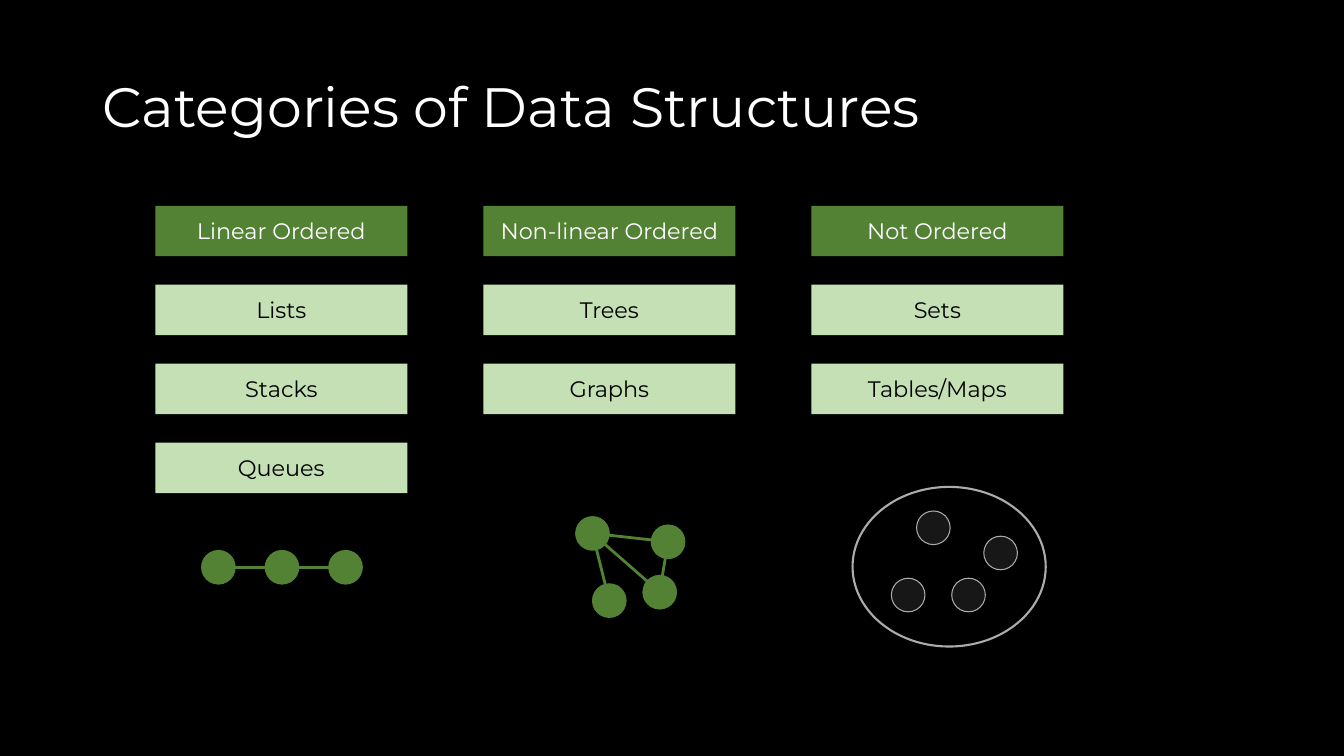
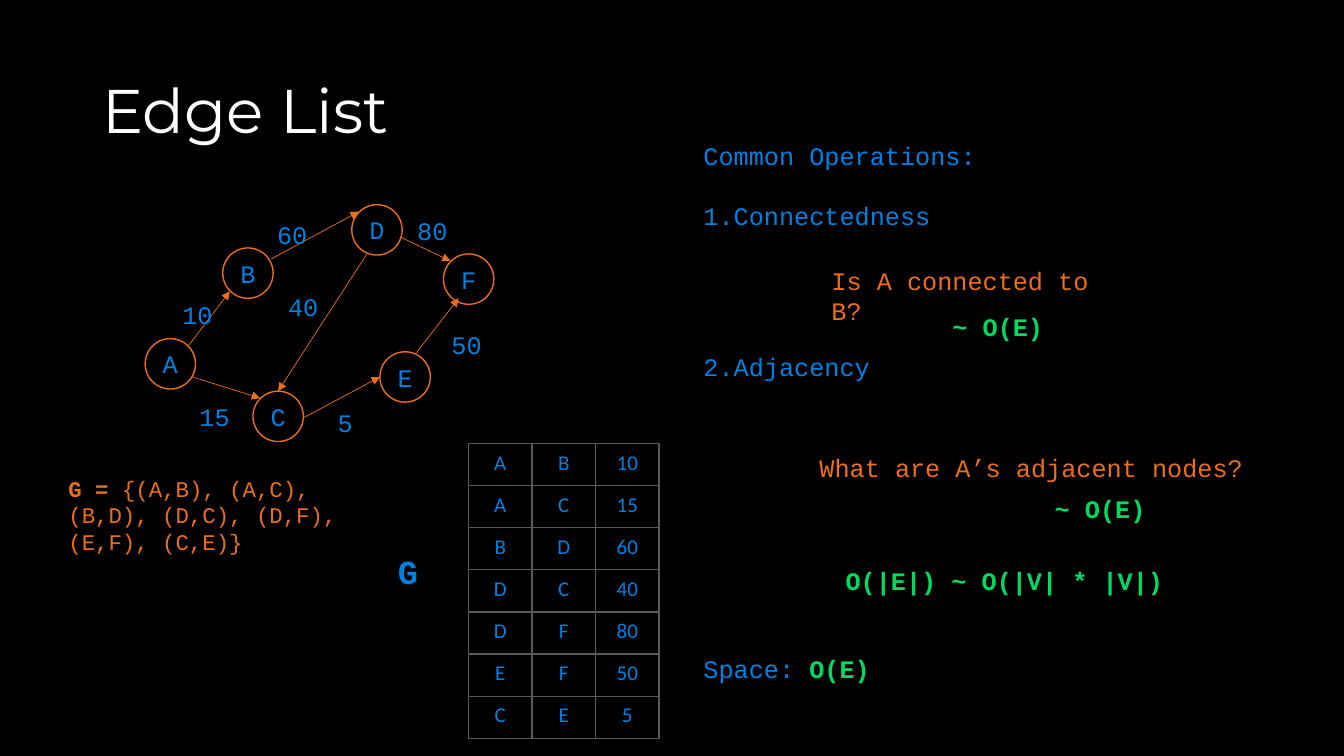
import math

import pptx
import pptx.dml.color
import pptx.enum.shapes
import pptx.enum.text
import pptx.oxml
import pptx.oxml.ns
import pptx.util

Pt = pptx.util.Pt
ALIGN = pptx.enum.text.PP_ALIGN
ANCHOR = pptx.enum.text.MSO_ANCHOR
SHAPE = pptx.enum.shapes.MSO_SHAPE
STRAIGHT = pptx.enum.shapes.MSO_CONNECTOR.STRAIGHT

COLORS = {
    "back": "000000", "white": "FFFFFF", "dark": "548235", "light": "C5E0B4",
    "gray": "AFABAB", "coal": "181717", "orange": "EB6E19", "blue": "0081E2",
    "green": "00DA63", "grid": "595959",
}
SANS, MONO, CELL = "Montserrat", "Courier New", "Calibri"


def rgb(name):
    return pptx.dml.color.RGBColor.from_string(COLORS[name])


def sub(parent, tag, **attrs):
    """Append a DrawingML element to parent."""
    el = parent.makeelement(pptx.oxml.ns.qn("a:" + tag), attrs)
    parent.append(el)
    return el


def write(p, text, font=MONO, size=18, color="blue", bold=False, align=None,
          before=None, spacing=None, numbered=False):
    """Add a formatted run to paragraph p."""
    if numbered:
        pPr = p._p.get_or_add_pPr()
        pPr.set("marL", "0")
        pPr.set("indent", "0")
        sub(pPr, "buFont", typeface=font)
        sub(pPr, "buAutoNum", type="arabicPeriod")
    if align is not None:
        p.alignment = align
    if before is not None:
        p.space_before = Pt(before)
    if spacing is not None:
        p.line_spacing = spacing
    r = p.add_run()
    r.text = text
    r.font.name, r.font.size, r.font.bold = font, Pt(size), bold
    r.font.color.rgb = rgb(color)


class Deck:
    def __init__(self):
        self.prs = pptx.Presentation()
        self.prs.slide_width, self.prs.slide_height = Pt(960), Pt(540)
        self.s = None

    def slide(self, title, size, top):
        self.s = self.prs.slides.add_slide(self.prs.slide_layouts[6])
        self.s.background.fill.solid()
        self.s.background.fill.fore_color.rgb = rgb("back")
        tf = self.box(66, top, 828, 104.4)
        tf.vertical_anchor = ANCHOR.MIDDLE
        write(tf.paragraphs[0], title, font=SANS, size=size, color="white", spacing=0.9)

    def box(self, x, y, w, h):
        tf = self.s.shapes.add_textbox(Pt(x), Pt(y), Pt(w), Pt(h)).text_frame
        tf.word_wrap = True
        return tf

    def text(self, x, y, w, text, h=29, **fmt):
        p = self.box(x, y, w, h).paragraphs[0]
        write(p, text, **fmt)
        return p

    def shape(self, kind, x, y, w, h, fill=None, line=None, width=0.75, text=None, **fmt):
        sp = self.s.shapes.add_shape(kind, Pt(x), Pt(y), Pt(w), Pt(h))
        sp.shadow.inherit = False
        if fill:
            sp.fill.solid()
            sp.fill.fore_color.rgb = rgb(fill)
        else:
            sp.fill.background()
        if line:
            sp.line.color.rgb = rgb(line)
            sp.line.width = Pt(width)
        else:
            sp.line.fill.background()
        if text:
            tf = sp.text_frame
            tf.margin_left = tf.margin_right = tf.margin_top = tf.margin_bottom = 0
            tf.vertical_anchor = ANCHOR.MIDDLE
            write(tf.paragraphs[0], text, align=ALIGN.CENTER, **fmt)

    def line(self, x1, y1, x2, y2, color, width, arrow=False):
        c = self.s.shapes.add_connector(STRAIGHT, Pt(x1), Pt(y1), Pt(x2), Pt(y2))
        c.line.color.rgb = rgb(color)
        c.line.width = Pt(width)
        if arrow:
            sub(c.line._get_or_add_ln(), "tailEnd", type="triangle")
        sub(c._element.spPr, "effectLst")

    def network(self, nodes, links, d=24):
        """Filled dots at top-left points, linked from rim to rim."""
        for x, y in nodes:
            self.shape(SHAPE.OVAL, x, y, d, d, fill="dark", line="dark")
        for a, b in links:
            (x1, y1), (x2, y2) = [(x + d / 2, y + d / 2) for x, y in (nodes[a], nodes[b])]
            k = d / 2 / math.dist((x1, y1), (x2, y2))
            dx, dy = k * (x2 - x1), k * (y2 - y1)
            self.line(x1 + dx, y1 + dy, x2 - dx, y2 - dy, "dark", 2)

    def table(self, x, y, col_w, row_h, rows):
        n, m = len(rows), len(rows[0])
        t = self.s.shapes.add_table(n, m, Pt(x), Pt(y), Pt(col_w * m), Pt(row_h * n)).table
        t.first_row = t.horz_banding = False
        for col in t.columns:
            col.width = Pt(col_w)
        for i, row in enumerate(rows):
            t.rows[i].height = Pt(row_h)
            for j, value in enumerate(row):
                self.cell(t.cell(i, j), str(value))

    def cell(self, c, text):
        c.margin_left = c.margin_right = Pt(9.6)
        c.margin_top = c.margin_bottom = Pt(4.8)
        write(c.text_frame.paragraphs[0], text, font=CELL, size=15, align=ALIGN.CENTER)
        tcPr = c._tc.get_or_add_tcPr()
        for side in ("lnL", "lnR", "lnT", "lnB"):
            fill = sub(sub(tcPr, side, w=str(Pt(1))), "solidFill")
            sub(fill, "srgbClr", val=COLORS["grid"])
        c.fill.background()


def categories(d):
    d.slide("Categories of Data Structures", 39.6, 26.3)

    # Columns of boxes, header first
    columns = [
        ("Linear Ordered", "Lists", "Stacks", "Queues"),
        ("Non-linear Ordered", "Trees", "Graphs"),
        ("Not Ordered", "Sets", "Tables/Maps"),
    ]
    for i, names in enumerate(columns):
        for j, name in enumerate(names):
            fill, color = ("light", "back") if j else ("dark", "white")
            d.shape(SHAPE.RECTANGLE, 111 + 234.3 * i, 147 + 56.4 * j, 180, 36,
                    fill=fill, text=name, font=SANS, size=16, color=color)

    # Set: loose dots in an oval
    for x, y in [(654.7, 365), (702.7, 383), (636.7, 413), (679.8, 413)]:
        d.shape(SHAPE.OVAL, x, y, 24, 24, fill="coal", line="gray")
    d.shape(SHAPE.OVAL, 609, 347.8, 138, 114, line="gray", width=1.5)

    # Chain and graph
    d.network([(144 + 45.4 * i, 393.2) for i in range(3)], [(0, 1), (1, 2)])
    d.network([(411.2, 369), (465.2, 375), (423.2, 417), (459.2, 411)],
              [(0, 1), (1, 3), (0, 3), (0, 2)])


def edge_list(d):
    d.slide("Edge List", 44, 29)

    # Graph: nodes, then edges as (from, to, weight, arrow, label corner)
    nodes = {"A": (103.7, 241.9), "B": (159.1, 177.1), "C": (180.7, 279.4),
             "D": (251.3, 146.2), "E": (271.4, 251.3), "F": (316.8, 181.4)}
    edges = [
        ("A", "B", 10, (134.6, 247, 164.2, 208.1), (123.1, 210.2)),
        ("A", "C", 15, (137.5, 269.3, 185.8, 284.4), (135.4, 283)),
        ("B", "D", 60, (193.7, 185, 256.3, 151.2), (190.8, 153.4)),
        ("D", "C", 40, (262.1, 181.4, 198.7, 279.4), (198.7, 204.5)),
        ("D", "F", 80, (285.8, 169.2, 321.8, 186.5), (290.9, 150.5)),
        ("E", "F", 50, (297.4, 252, 327.6, 213.1), (315.4, 231.8)),
        ("C", "E", 5, (217.4, 298.1, 271.4, 269.3), (234, 287.3)),
    ]
    for name, (x, y) in nodes.items():
        d.shape(SHAPE.OVAL, x, y, 36, 36, line="orange", width=1, text=name)
    for _, _, weight, ends, (x, y) in edges:
        d.line(*ends, "orange", 0.5, arrow=True)
        d.text(x, y, 37.4, str(weight))

    # Edge set and edge table
    p = d.text(41.8, 335.5, 251.2, "G = ", h=46, size=16, color="orange", bold=True)
    write(p, "{(A,B), (A,C), (B,D), (D,C), (D,F), (E,F), (C,E)}", size=16, color="orange")
    d.text(277.2, 390.2, 37.4, "G", h=36, size=24, bold=True)
    d.table(334.6, 316.8, 45.4, 30.1, [edge[:3] for edge in edges])

    # Operations and their costs
    tf = d.box(495.4, 96.5, 440.6, 399.6)
    write(tf.paragraphs[0], "Common Operations:")
    write(tf.add_paragraph(), "Connectedness", before=21.6, numbered=True)
    write(tf.add_paragraph(), "Adjacency", before=86.3, numbered=True)
    p = tf.add_paragraph()
    write(p, "Space: ", before=194.1)
    write(p, "O(E)", color="green", bold=True)

    d.text(586.8, 185.8, 228, "Is A connected to B?", h=50, color="orange")
    d.text(578.2, 319.7, 337.7, "What are A’s adjacent nodes?", color="orange")
    for x, y, w, cost in [(673.2, 218.9, 156, "~ O(E)"), (746.3, 348.5, 90, "~ O(E)"),
                          (596.9, 400.3, 277.2, "O(|E|) ~ O(|V| * |V|)")]:
        d.text(x, y, w, cost, color="green", bold=True)


def main():
    d = Deck()
    categories(d)
    edge_list(d)
    d.prs.save("out.pptx")


if __name__ == "__main__":
    main()
